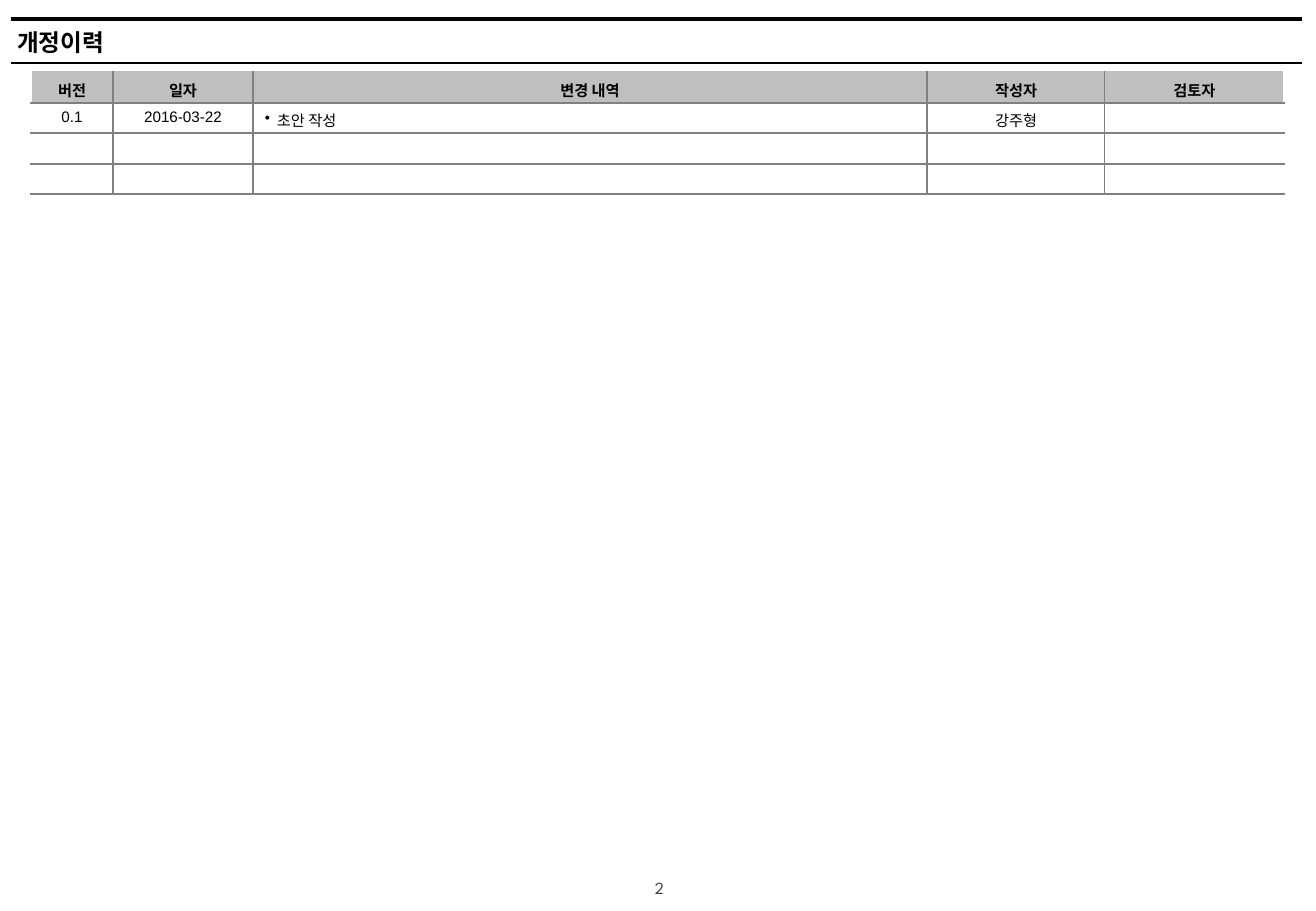
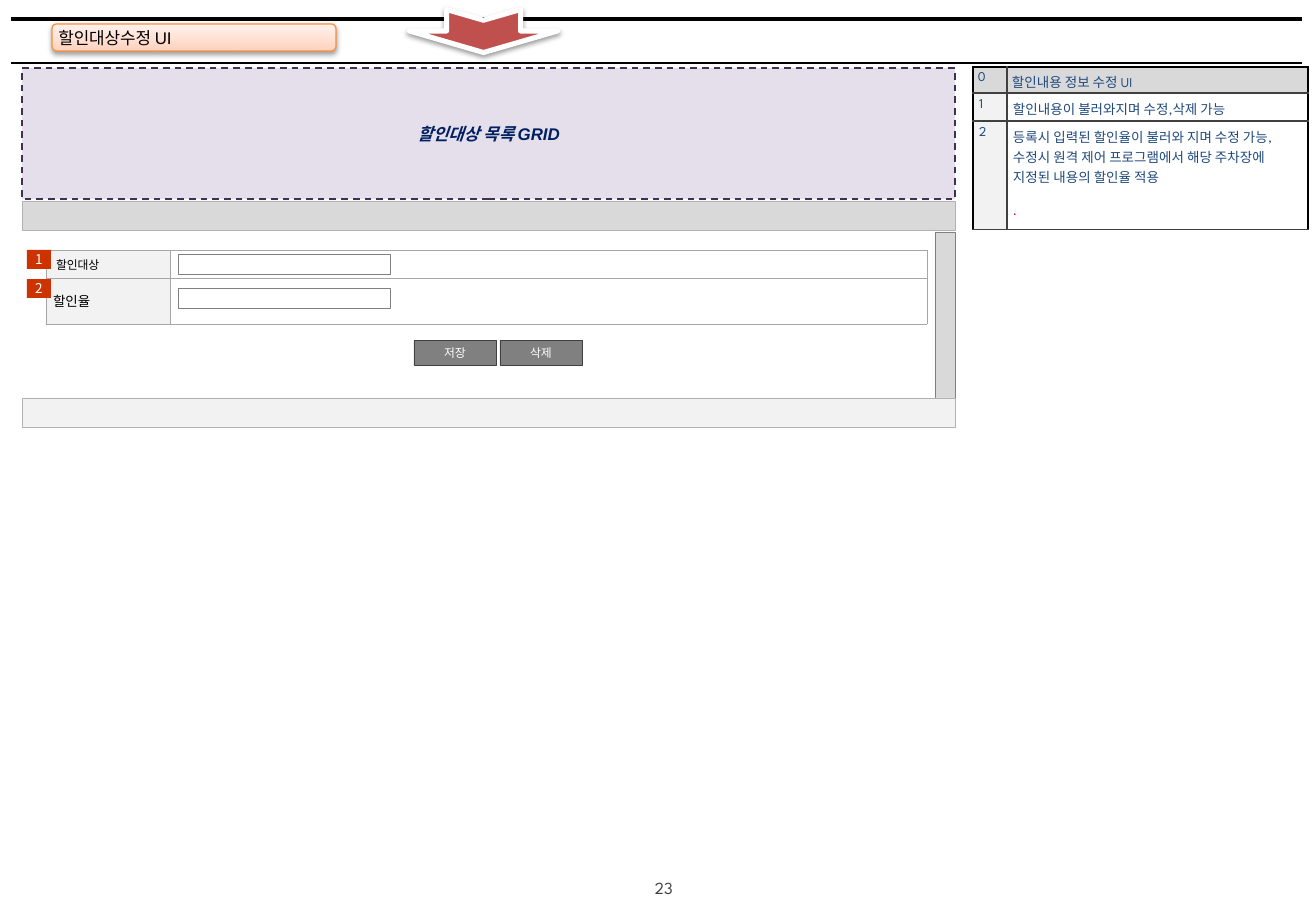
from dataclasses import dataclass

from lxml import etree
from pptx import Presentation, util as u
from pptx.dml.color import RGBColor
from pptx.enum import dml, shapes, text
from pptx.oxml.ns import qn

SHAPE = shapes.MSO_SHAPE
CENTER = text.PP_ALIGN.CENTER
LEFT = text.PP_ALIGN.LEFT
MIDDLE = text.MSO_ANCHOR.MIDDLE
TOP = text.MSO_ANCHOR.TOP


@dataclass(frozen=True)
class Theme:
    """Colours, fonts and type sizes of the deck."""
    ink: str = "000000"
    paper: str = "FFFFFF"
    dark: str = "404040"
    gray: str = "808080"
    header: str = "BFBFBF"
    bar: str = "D9D9D9"
    pale: str = "F2F2F2"
    bar_edge: str = "B2B2B2"
    field_edge: str = "A6A6A6"
    note: str = "1F497D"
    alert: str = "FF0000"
    badge: str = "CC3300"
    arrow: str = "C0504D"
    tag_edge: str = "F69240"
    tag_low: str = "FFD2BD"
    tag_high: str = "FFF2ED"
    grid: str = "CCC1DA"
    grid_edge: str = "403152"
    grid_ink: str = "002060"
    body: str = "Arial"
    accent: str = "League Spartan"
    korean: str = "Noto Sans CJK KR"
    title_size: int = 14
    text_size: int = 10
    table_size: int = 9
    note_size: int = 8
    small_size: int = 7


T = Theme()


def px(n):
    """Turn pixels into EMU."""
    return u.Emu(round(n * 914400 / 121.5))


def rgb(color):
    """Return a colour object for a hex string."""
    return RGBColor.from_string(color)


def write(tf, words, size, color=T.ink, font=T.body, bold=False, italic=False,
          align=LEFT, anchor=MIDDLE, pad=(12, 6, 12, 6), wrap=True):
    """Fill a text frame and format its runs."""
    tf.text = words
    tf.word_wrap = wrap
    tf.vertical_anchor = anchor
    tf.margin_left, tf.margin_top, tf.margin_right, tf.margin_bottom = map(px, pad)
    for p in tf.paragraphs:
        p.alignment = align
        for r in p.runs:
            f = r.font
            f.size, f.bold, f.italic, f.name = u.Pt(size), bold, italic, font
            f.color.rgb = rgb(color)
            etree.SubElement(f._element, qn("a:ea"), typeface=T.korean)


def add_box(s, box, fill, edge=None, weight=0.25, kind=SHAPE.RECTANGLE):
    """Add a flat preset shape."""
    sp = s.shapes.add_shape(kind, *map(px, box))
    sp.shadow.inherit = False
    sp.fill.solid()
    sp.fill.fore_color.rgb = rgb(fill)
    if edge:
        sp.line.color.rgb = rgb(edge)
        sp.line.width = u.Pt(weight)
    else:
        sp.line.fill.background()
    return sp


def drop_shadow(sp):
    """Give a shape a soft shadow straight below it."""
    effects = sp._element.spPr.find(qn("a:effectLst"))
    shadow = etree.SubElement(effects, qn("a:outerShdw"), blurRad=str(u.Pt(3.1)),
                              dist=str(u.Pt(1.6)), dir="5400000", rotWithShape="0")
    color = etree.SubElement(shadow, qn("a:srgbClr"), val=T.ink)
    etree.SubElement(color, qn("a:alpha"), val="38000")


def add_rule(s, x, y, width, weight):
    """Add a horizontal black line."""
    line = s.shapes.add_connector(shapes.MSO_CONNECTOR.STRAIGHT,
                                  px(x), px(y), px(x + width), px(y))
    line.line.color.rgb = rgb(T.ink)
    line.line.width = u.Pt(weight)
    etree.SubElement(line._element.spPr, qn("a:effectLst"))


def add_grid(s, x, y, cols, rows):
    """Add an unstyled table with the given column and row sizes."""
    table = s.shapes.add_table(len(rows), len(cols), px(x), px(y),
                               px(sum(cols)), px(sum(rows))).table
    table.first_row = table.horz_banding = False
    for col, width in zip(table.columns, cols):
        col.width = px(width)
    for row, height in zip(table.rows, rows):
        row.height = px(height)
    return table


def finish_cell(cell, fill, left, right, top, bottom, size):
    """Set borders, fill and the type size of an empty cell."""
    tc_pr = cell._tc.get_or_add_tcPr()
    for side, (color, weight) in zip("LRTB", (left, right, top, bottom)):
        ln = etree.SubElement(tc_pr, qn(f"a:ln{side}"), w=str(u.Pt(weight)))
        solid = etree.SubElement(ln, qn("a:solidFill"))
        etree.SubElement(solid, qn("a:srgbClr"), val=color)
    cell.fill.solid()
    cell.fill.fore_color.rgb = rgb(fill)
    if not cell.text_frame.text:
        etree.SubElement(cell.text_frame.paragraphs[0]._p, qn("a:endParaRPr"),
                         sz=str(size * 100))


def indent(p, left, hanging=0, bullet=None):
    """Indent a paragraph, with a bullet if one is given."""
    p_pr = p._p.get_or_add_pPr()
    p_pr.set("marL", str(px(left)))
    p_pr.set("indent", str(-px(hanging)))
    if bullet:
        etree.SubElement(p_pr, qn("a:buChar"), char=bullet)


def new_slide(prs, number):
    """Add a slide with the shared rules and page number."""
    s = prs.slides.add_slide(prs.slide_layouts[6])
    page = s.shapes.add_textbox(*map(px, (643, 872, 46, 33)))
    write(page.text_frame, str(number), T.text_size, T.dark, T.accent, anchor=TOP)
    add_rule(s, 11, 19, 1291, 2.25)
    add_rule(s, 11, 63, 1291, 0.75)
    return s


def history_table(s, x, y):
    """Draw the revision history."""
    rows = [["버전", "일자", "변경 내역", "작성자", "검토자"],
            ["0.1", "2016-03-22", "초안 작성", "강주형", ""],
            [""] * 5, [""] * 5]
    table = add_grid(s, x, y, [82, 140, 674, 178, 179], [31, 30, 31, 30])
    inner, open_side = (T.gray, 0.75), (T.paper, 1)
    for i, row in enumerate(rows):
        head = i == 0
        for j, words in enumerate(row):
            cell = table.cell(i, j)
            if words:
                write(cell.text_frame, words, T.table_size, bold=head,
                      font=T.korean if head else T.body,
                      align=LEFT if (i, j) == (1, 2) else CENTER)
            cell.vertical_anchor = MIDDLE if head else TOP
            cell.margin_left = cell.margin_right = px(12)
            cell.margin_top, cell.margin_bottom = px(6), px(2)
            finish_cell(cell, T.header if head else T.paper,
                        open_side if j == 0 else inner,
                        open_side if j == 4 else inner,
                        (T.header, 1) if head else inner, inner, T.table_size)
    indent(table.cell(1, 2).text_frame.paragraphs[0], 12, 12, "•")


def notes_table(s, x, y):
    """Draw the numbered notes beside the screen."""
    notes = ["할인내용 정보 수정 UI",
             "할인내용이 불러와지며 수정,삭제 가능",
             "등록시 입력된 할인율이 불러와 지며 수정 가능, 수정시 원격 제어 "
             "프로그램에서 해당 주차장에 지정된 내용의 할인율 적용\n."]
    table = add_grid(s, x, y, [34, 301], [26, 28, 109])
    thin, thick = (T.dark, 0.75), (T.ink, 1)
    for i, note in enumerate(notes):
        for j, words in enumerate((str(i), note)):
            cell = table.cell(i, j)
            write(cell.text_frame, words, T.note_size, T.note, T.accent)
            cell.vertical_anchor = TOP
            cell.margin_left = cell.margin_right = cell.margin_top = px(6 if i else 5)
            cell.margin_bottom = px(1)
            fill = T.bar if i == 0 else T.paper if j else T.pale
            finish_cell(cell, fill, thin if j else thick, thick if j else thin,
                        thin if i else thick, thin, T.note_size)
    last = table.cell(2, 1).text_frame.paragraphs[-1]
    last.space_before = u.Pt(12)
    last.runs[0].font.color.rgb = rgb(T.alert)


def heading(s):
    """Draw the screen name tag and the arrow over the title band."""
    tag = add_box(s, (52, 24, 284, 27), T.tag_low, T.tag_edge, 0.75,
                  SHAPE.ROUNDED_RECTANGLE)
    tag.fill.gradient()
    tag.fill.gradient_angle = 90
    for stop, color in zip(tag.fill.gradient_stops, (T.tag_low, T.tag_high)):
        stop.color.rgb = rgb(color)
    write(tag.text_frame, "할인대상수정 UI", T.text_size, pad=(5, 6, 5, 6))
    arrow = add_box(s, (462, -43, 43, 148), T.arrow, T.paper, 3,
                    SHAPE.NOTCHED_RIGHT_ARROW)
    arrow.rotation = 90
    for sp in (tag, arrow):
        drop_shadow(sp)


def screen_frame(s, x, y, width):
    """Draw the list area, its bars and the scroll bar."""
    add_box(s, (x + width - 20, y + 164, 20, 167), T.bar, T.gray)
    add_box(s, (x, y + 133, width, 29), T.bar, T.bar_edge)
    grid = add_box(s, (x, y, width, 131), T.grid, T.grid_edge, 1)
    grid.line.dash_style = dml.MSO_LINE.DASH
    color = grid._element.spPr.find(qn("a:solidFill"))[0]
    etree.SubElement(color, qn("a:alpha"), val="50000")
    write(grid.text_frame, "할인대상 목록 GRID", T.text_size, T.grid_ink,
          bold=True, italic=True, align=CENTER)
    add_box(s, (x, y + 330, width, 29), T.pale, T.bar_edge)


def edit_form(s, x, y):
    """Draw the form with its inputs, number badges and buttons."""
    labels = [("할인대상", T.small_size, 5), ("할인율", T.note_size, 2)]
    table = add_grid(s, x, y, [124, 757], [28, 46])
    edge = (T.field_edge, 0.25)
    for i, (label, size, side) in enumerate(labels):
        cell = table.cell(i, 0)
        write(cell.text_frame, label, size)
        cell.vertical_anchor = MIDDLE
        cell.margin_left = cell.margin_right = px(side)
        cell.margin_top = cell.margin_bottom = px(4)
        indent(cell.text_frame.paragraphs[0], 5)
        for j, fill in enumerate((T.pale, T.paper)):
            finish_cell(table.cell(i, j), fill, edge, edge, edge, edge, size)
        add_box(s, (x + 132, y + 4 + 34 * i, 212, 20), T.paper, T.gray)
        badge = add_box(s, (x - 19, y + 29 * i, 24, 19), T.badge)
        write(badge.text_frame, str(i + 1), T.note_size, T.paper, T.korean,
              align=CENTER, pad=(0,) * 4, wrap=False)
    for i, words in enumerate(("저장", "삭제")):
        button = add_box(s, (x + 368 + 86 * i, y + 90, 82, 25), T.gray, T.dark)
        write(button.text_frame, words, T.small_size, T.paper, T.korean,
              align=CENTER, pad=(0,) * 4)


def history_slide(prs):
    """Build the revision history slide."""
    s = new_slide(prs, 2)
    title = s.shapes.add_textbox(*map(px, (5, 22, 1271, 41)))
    write(title.text_frame, "개정이력", T.title_size, bold=True)
    history_table(s, 31, 72)


def screen_slide(prs):
    """Build the screen layout slide."""
    s = new_slide(prs, 23)
    notes_table(s, 973, 67)
    heading(s)
    screen_frame(s, 22, 68, 933)
    edit_form(s, 46, 250)


prs = Presentation()
prs.slide_width, prs.slide_height = px(1316), px(911)
history_slide(prs)
screen_slide(prs)
prs.save("out.pptx")
